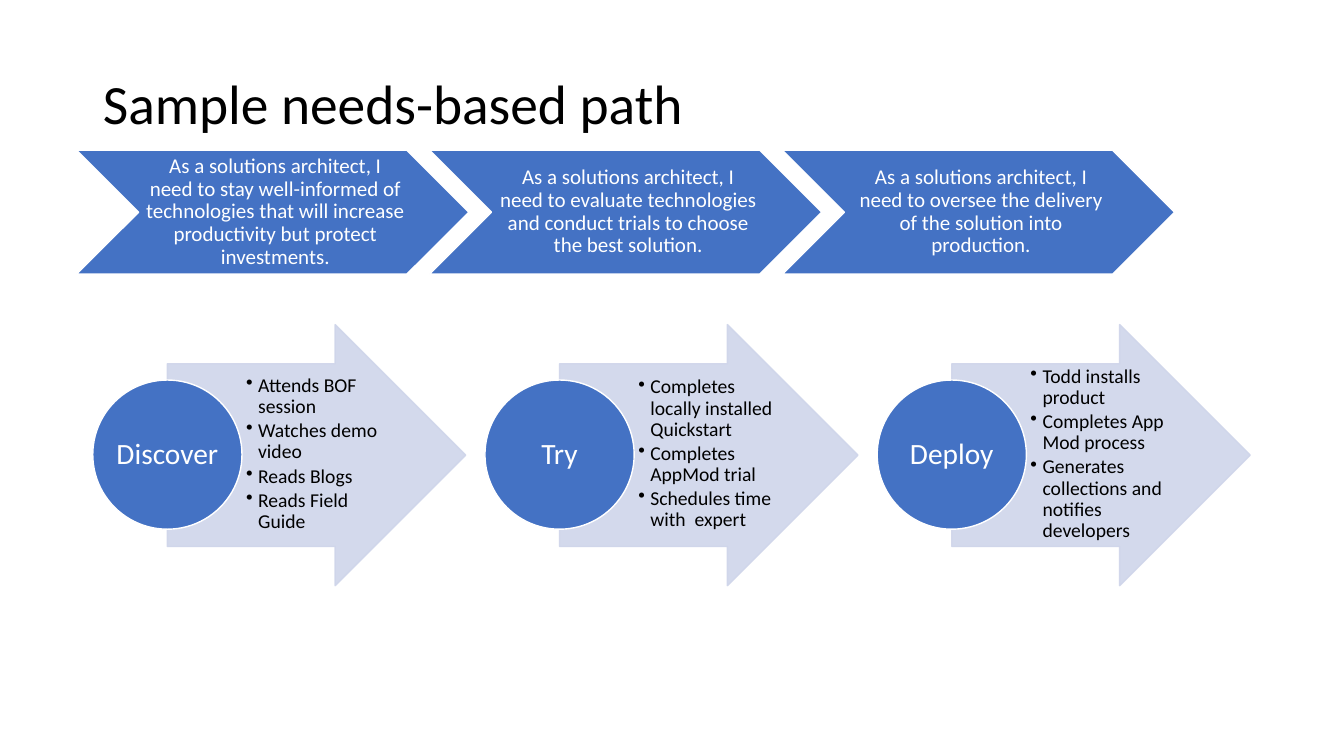
from pptx import Presentation
from pptx.dml.color import RGBColor
from pptx.enum.shapes import MSO_SHAPE
from pptx.enum.text import MSO_ANCHOR, PP_ALIGN
from pptx.oxml.ns import qn
from pptx.util import Inches, Pt
from lxml.etree import SubElement

# Content
TITLE = "Sample needs-based path"
NEEDS = [
    "As a solutions architect, I need to stay well-informed of technologies "
    "that will increase productivity but protect investments.",
    "As a solutions architect, I need to evaluate technologies and conduct "
    "trials to choose the best solution.",
    "As a solutions architect, I need to oversee the delivery of the solution "
    "into production.",
]
STAGES = [
    ("Discover", ["Attends BOF session", "Watches demo video", "Reads Blogs",
                  "Reads Field Guide"]),
    ("Try", ["Completes locally installed Quickstart",
             "Completes AppMod trial", "Schedules time with  expert"]),
    ("Deploy", ["Todd installs product", "Completes App Mod process",
                "Generates collections and notifies developers"]),
]


class Theme:
    font = "Calibri"
    blue = RGBColor(0x44, 0x72, 0xC4)
    pale = RGBColor(0xCF, 0xD5, 0xEA)
    white = RGBColor(255, 255, 255)
    black = RGBColor(0, 0, 0)
    title, stage, need, task = 39.6, 21, 15, 14
    opacity = 90


# Layout: first left edge and step of each row
NEED_X, NEED_STEP = 0.76, 3.5
STAGE_X, STAGE_STEP = 0.92, 3.89
ARROW_DX, TASK_DX = 0.74, 1.48


def write(shape, lines, size, color, insets, align):
    frame = shape.text_frame
    frame.word_wrap = True
    frame.vertical_anchor = MSO_ANCHOR.MIDDLE
    for side, inset in zip(("left", "top", "right", "bottom"), insets):
        setattr(frame, f"margin_{side}", Inches(inset))
    frame.text = "\n".join(lines)
    for para in frame.paragraphs:
        para.alignment, para.line_spacing = align, 0.9
        look = {"name": Theme.font, "size": Pt(size)}
        for key, value in look.items():
            setattr(para.runs[0].font, key, value)
        para.runs[0].font.color.rgb = color


def draw(slide, kind, box, fill, line):
    shape = slide.shapes.add_shape(kind, *map(Inches, box))
    shape.shadow.inherit = False
    shape.fill.solid()
    shape.fill.fore_color.rgb = fill
    shape.line.color.rgb = line
    shape.line.width = Pt(1)
    return shape


def fade(shape):
    for color in shape._element.spPr.iter(qn("a:srgbClr")):
        SubElement(color, qn("a:alpha"), val=str(Theme.opacity * 1000))


def bullet(para):
    para.level = 1
    para.space_before, para.space_after = Pt(0), Pt(2.1)
    props = para._p.get_or_add_pPr()
    props.set("marL", str(Inches(0.12)))
    props.set("indent", str(Inches(-0.12)))
    SubElement(props, qn("a:buChar"), char="•")


def add_need(slide, i, text):
    box = (NEED_X + i * NEED_STEP, 1.49, 3.89, 1.23)
    shape = draw(slide, MSO_SHAPE.CHEVRON, box, Theme.blue, Theme.white)
    write(shape, [text], Theme.need, Theme.white,
          (0.07, 0.02, 0.02, 0.02), PP_ALIGN.CENTER)


def add_stage(slide, i, name, tasks):
    left = STAGE_X + i * STAGE_STEP

    # Arrow behind the stage
    arrow = draw(slide, MSO_SHAPE.RIGHT_ARROW,
                 (left + ARROW_DX, 3.22, 2.96, 2.59), Theme.pale, Theme.pale)
    arrow.adjustments[0], arrow.adjustments[1] = 0.7, 0.5
    fade(arrow)

    # Task list
    box = (left + TASK_DX, 3.6, 1.45, 1.81)
    notes = slide.shapes.add_textbox(*map(Inches, box))
    write(notes, tasks, Theme.task, Theme.black,
          (0.04, 0.01, 0.02, 0.01), PP_ALIGN.LEFT)
    for para in notes.text_frame.paragraphs:
        bullet(para)

    # Stage circle
    disc = draw(slide, MSO_SHAPE.OVAL, (left, 3.77, 1.48, 1.48),
                Theme.blue, Theme.white)
    write(disc, [name], Theme.stage, Theme.white, [0.01] * 4, PP_ALIGN.CENTER)


def main():
    deck = Presentation()
    deck.slide_width, deck.slide_height = Inches(13.33), Inches(7.5)
    slide = deck.slides.add_slide(deck.slide_layouts[5])

    # Title
    title = slide.shapes.title
    place = {"left": 0.92, "top": 0.74, "width": 11.5, "height": 0.63}
    for key, value in place.items():
        setattr(title, key, Inches(value))
    write(title, [TITLE], Theme.title, Theme.black,
          (0.1, 0, 0.1, 0), PP_ALIGN.LEFT)

    # Stages below, needs above
    for i, (name, tasks) in enumerate(STAGES):
        add_stage(slide, i, name, tasks)
    for i, text in enumerate(NEEDS):
        add_need(slide, i, text)
    deck.save("out.pptx")


if __name__ == "__main__":
    main()
